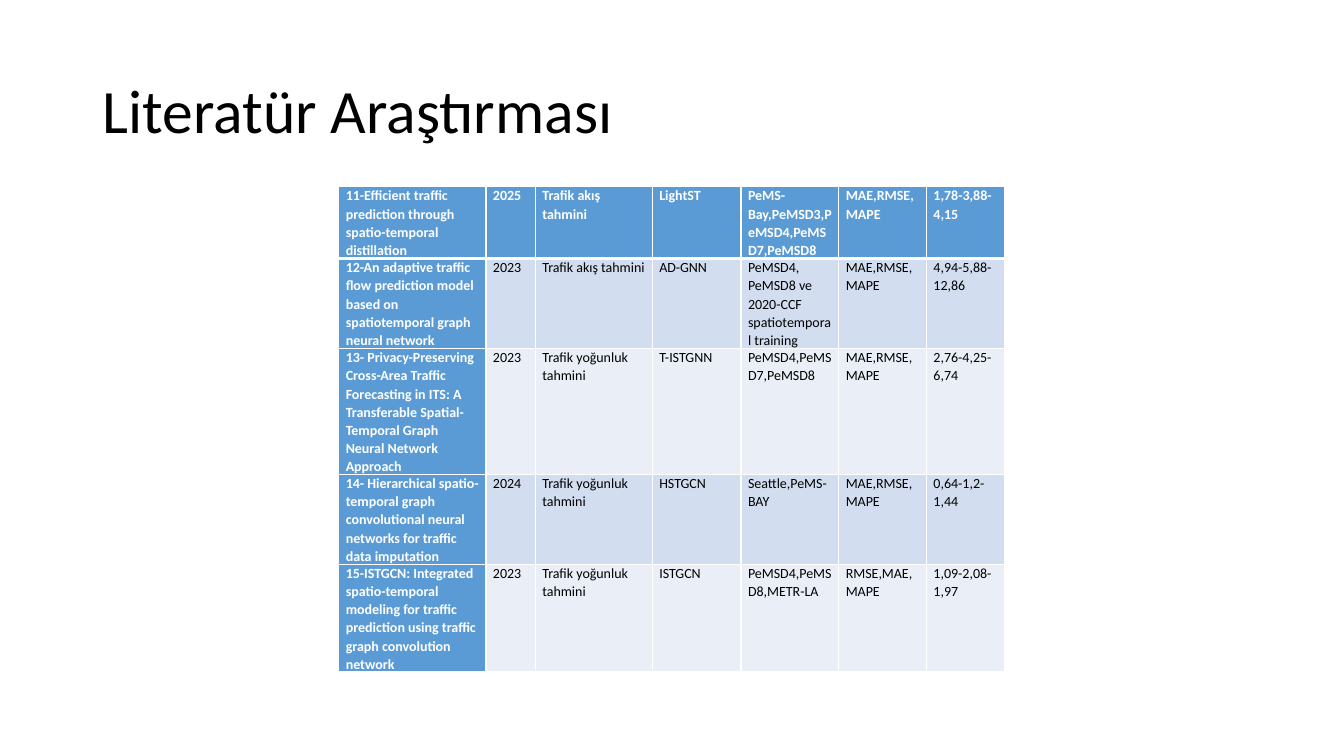
from lxml import etree
from pptx import Presentation
from pptx.dml.color import RGBColor
from pptx.enum.text import MSO_ANCHOR
from pptx.oxml.ns import qn
from pptx.util import Inches, Pt

MIDDLE = MSO_ANCHOR.MIDDLE
TOP = MSO_ANCHOR.TOP
WHITE, BLACK, BLUE = "FFFFFF", "000000", "5B9BD5"
BANDS = ["D2DEEF", "EAEFF7"]

COLUMN_WIDTHS = [1.46, 0.49, 1.16, 0.88, 0.97, 0.87, 0.78]
ROW_HEIGHTS = [0.7, 0.88, 1.23, 0.88, 1.06]
STUDIES = [
    ["11-Efficient traffic prediction through spatio-temporal distillation",
     "2025", "Trafik akış tahmini", "LightST",
     "PeMS-Bay,PeMSD3,PeMSD4,PeMSD7,PeMSD8", "MAE,RMSE,MAPE", "1,78-3,88-4,15"],
    ["12-An adaptive traffic flow prediction model based on spatiotemporal graph neural network",
     "2023", "Trafik akış tahmini", "AD-GNN",
     "PeMSD4, PeMSD8 ve 2020-CCF spatiotemporal training", "MAE,RMSE,MAPE", "4,94-5,88-12,86"],
    ["13- Privacy-Preserving Cross-Area Traffic Forecasting in ITS: "
     "A Transferable Spatial-Temporal Graph Neural Network Approach",
     "2023", "Trafik yoğunluk tahmini", "T-ISTGNN",
     "PeMSD4,PeMSD7,PeMSD8", "MAE,RMSE,MAPE", "2,76-4,25-6,74"],
    ["14- Hierarchical spatio-temporal graph convolutional neural networks for traffic data imputation",
     "2024", "Trafik yoğunluk tahmini", "HSTGCN",
     "Seattle,PeMS-BAY", "MAE,RMSE,MAPE", "0,64-1,2-1,44"],
    ["15-ISTGCN: Integrated spatio-temporal modeling for traffic prediction "
     "using traffic graph convolution network",
     "2023", "Trafik yoğunluk tahmini", "ISTGCN",
     "PeMSD4,PeMSD8,METR-LA", "RMSE,MAE,MAPE", "1,09-2,08-1,97"],
]


def color(value):
    return RGBColor.from_string(value)


def write(holder, text, size, ink, bold=False, spacing=1.0, anchor=TOP):
    frame = holder.text_frame
    frame.word_wrap = True
    frame.vertical_anchor = anchor
    para = frame.paragraphs[0]
    para.line_spacing = spacing
    span = para.add_run()
    span.text = text
    span.font.name = "Calibri"
    span.font.size = Pt(size)
    span.font.bold = bold
    span.font.color.rgb = color(ink)


deck = Presentation()
deck.slide_width = Inches(13.33)
deck.slide_height = Inches(7.5)
page = deck.slides.add_slide(deck.slide_layouts[6])

title = page.shapes.add_textbox(Inches(0.92), Inches(0.4), Inches(11.5), Inches(1.45))
write(title, "Literatür Araştırması", size=44, ink=BLACK, spacing=0.9, anchor=MIDDLE)

table = page.shapes.add_table(
    len(ROW_HEIGHTS), len(COLUMN_WIDTHS), Inches(3.36), Inches(1.85),
    Inches(sum(COLUMN_WIDTHS)), Inches(sum(ROW_HEIGHTS))).table
for column, width in zip(table.columns, COLUMN_WIDTHS):
    column.width = Inches(width)
for row, height in zip(table.rows, ROW_HEIGHTS):
    row.height = Inches(height)

for row_index, study in enumerate(STUDIES):
    for column_index, text in enumerate(study):
        cell = table.cell(row_index, column_index)
        heading = row_index == 0 or column_index == 0
        cell.margin_left = cell.margin_right = Inches(0.07)
        cell.margin_top = cell.margin_bottom = 0
        write(cell, text, size=10, ink=WHITE if heading else BLACK, bold=heading, spacing=1.07)
        cell.fill.solid()
        cell.fill.fore_color.rgb = color(BLUE if heading else BANDS[(row_index - 1) % 2])

        line_widths = {"L": 1, "R": 1,
                       "T": 3 if row_index == 1 else 1,
                       "B": 3 if row_index == 0 else 1}
        properties = cell._tc.get_or_add_tcPr()
        for position, (side, width) in enumerate(line_widths.items()):
            border = etree.Element(qn(f"a:ln{side}"), w=str(Pt(width)))
            fill = etree.SubElement(border, qn("a:solidFill"))
            etree.SubElement(fill, qn("a:srgbClr"), val=WHITE)
            properties.insert(position, border)

deck.save("out.pptx")
